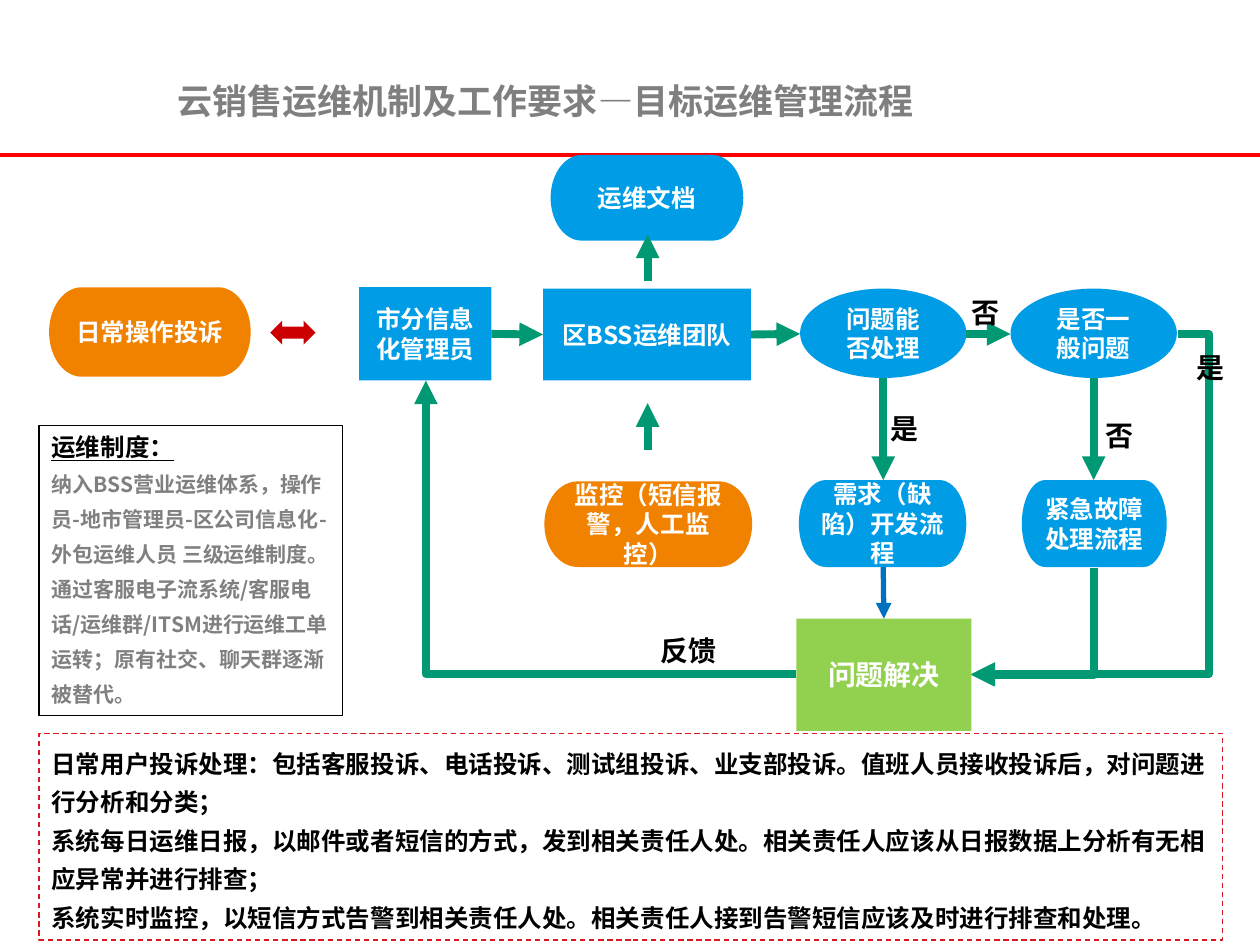
from lxml import etree
from pptx import Presentation
from pptx.dml.color import RGBColor
from pptx.enum.dml import MSO_LINE
from pptx.enum.shapes import MSO_CONNECTOR, MSO_SHAPE
from pptx.enum.text import MSO_ANCHOR, PP_ALIGN
from pptx.oxml.ns import qn
from pptx.util import Inches, Pt

FONT = "Noto Sans CJK SC"
BLUE = RGBColor(0x00, 0x9D, 0xE6)
ORANGE = RGBColor(0xF0, 0x82, 0x00)
LIME = RGBColor(0x92, 0xD0, 0x50)
GREEN = RGBColor(0x00, 0x99, 0x73)
NAVY = RGBColor(0x00, 0x70, 0xC0)
RED = RGBColor(0xFF, 0x00, 0x00)
DARK_RED = RGBColor(0xCC, 0x00, 0x00)
CRIMSON = RGBColor(0xD7, 0x1A, 0x21)
GRAY = RGBColor(0x80, 0x80, 0x80)
TITLE_GRAY = RGBColor(0x7F, 0x7F, 0x7F)
BLACK = RGBColor(0, 0, 0)
WHITE = RGBColor(0xFF, 0xFF, 0xFF)

COLS, ROWS = 100, 75  # grid cells over a 10 x 7.5 inch slide
TOP, LEFT, BOTTOM, RIGHT = range(4)
TERMINATOR = MSO_SHAPE.FLOWCHART_TERMINATOR
RECT = MSO_SHAPE.RECTANGLE
OVAL = MSO_SHAPE.OVAL


def write(tf, text, size=14, color=WHITE, align=PP_ALIGN.CENTER, spacing=None,
          underline=None, add=False):
    """Put one bold paragraph into a text frame."""
    p = tf.add_paragraph() if add else tf.paragraphs[0]
    p.alignment = align
    if spacing:
        p.line_spacing = Pt(spacing)
    r = p.add_run()
    r.text = text
    font = r.font
    font.name, font.size, font.bold, font.underline = FONT, Pt(size), True, underline
    font.color.rgb = color
    etree.SubElement(r._r.get_or_add_rPr(), qn("a:ea")).set("typeface", FONT)


class Flow:
    """Style and current slide; every length is in grid columns and rows."""

    def __init__(self, prs):
        self.s = prs.slides.add_slide(prs.slide_layouts[6])
        self.col = prs.slide_width / COLS
        self.row = prs.slide_height / ROWS

    def at(self, x, y):
        return round(x * self.col), round(y * self.row)

    def shape(self, kind, x, y, w, h, fill=None, line=None, dash=None):
        sp = self.s.shapes.add_shape(kind, *self.at(x, y), *self.at(w, h))
        sp.shadow.inherit = False
        if fill is None:
            sp.fill.background()
        else:
            sp.fill.solid()
            sp.fill.fore_color.rgb = fill
        if line is None:
            sp.line.fill.background()
        else:
            sp.line.color.rgb = line
            sp.line.width = Pt(0.75)
            sp.line.dash_style = dash
        return sp

    def node(self, text, kind, x, y, w, h, fill=BLUE, size=14):
        sp = self.shape(kind, x, y, w, h, fill)
        sp.text_frame.word_wrap = True
        sp.text_frame.vertical_anchor = MSO_ANCHOR.MIDDLE
        write(sp.text_frame, text, size)
        return sp

    def panel(self, x, y, w, h, line, dash=None):
        tf = self.shape(RECT, x, y, w, h, line=line, dash=dash).text_frame
        tf.word_wrap = True
        tf.vertical_anchor = MSO_ANCHOR.TOP
        return tf

    def label(self, text, x, y, w, h=3.7, wrap=False, anchor=MSO_ANCHOR.TOP, **fmt):
        tf = self.s.shapes.add_textbox(*self.at(x, y), *self.at(w, h)).text_frame
        tf.word_wrap = wrap
        tf.vertical_anchor = anchor
        write(tf, text, **fmt)

    def line(self, start, end, color=GREEN, width=4.5, head=True,
             kind=MSO_CONNECTOR.STRAIGHT):
        c = self.s.shapes.add_connector(kind, *self.at(*start), *self.at(*end))
        c.line.color.rgb = color
        c.line.width = Pt(width)
        if head:
            etree.SubElement(c.line._get_or_add_ln(), qn("a:tailEnd")).set("type", "triangle")
        etree.SubElement(c._element.spPr, qn("a:effectLst"))
        return c

    def corner(self, x, y, w, h, turn):
        """One-bend arrow, right then down before being turned."""
        c = self.line((x, y), (x + w, y + h), kind=MSO_CONNECTOR.ELBOW)
        c._element.spPr.prstGeom.set("prst", "bentConnector2")
        c._element.spPr.xfrm.set("rot", str(turn * 60000))

    def loop(self, start, end, bend):
        """Two-bend arrow; bend is the turning point as a share of the width."""
        c = self.line(start, end, kind=MSO_CONNECTOR.ELBOW)
        guide = etree.SubElement(c._element.spPr.prstGeom.get_or_add_avLst(), qn("a:gd"))
        guide.set("name", "adj1")
        guide.set("fmla", f"val {round(bend * 100000)}")


def main():
    prs = Presentation()
    prs.slide_width, prs.slide_height = Inches(10), Inches(7.5)
    flow = Flow(prs)

    # Title and rule
    flow.line((0, 12.3), (COLS, 12.3), RED, 2, head=False)
    flow.label("云销售运维机制及工作要求—目标运维管理流程", 13.1, 4.9, 63, 6.2, wrap=True,
               anchor=MSO_ANCHOR.MIDDLE, size=20, color=TITLE_GRAY, align=PP_ALIGN.LEFT)

    # Flow nodes
    flow.node("日常操作投诉", TERMINATOR, 3.9, 22.8, 16, 7.1, ORANGE)
    flow.node("运维文档", TERMINATOR, 43.7, 12.3, 15.3, 6.8)
    flow.node("紧急故障处理流程", TERMINATOR, 81.1, 38.1, 11.5, 6.9)
    flow.node("监控（短信报警，人工监控）", TERMINATOR, 43.2, 38.2, 16.5, 6.8, ORANGE)
    flow.node("需求（缺陷）开发流程", TERMINATOR, 63.4, 38.1, 13.3, 6.9)
    solved = flow.node("问题解决", RECT, 63.2, 49.1, 13.9, 8.9, LIME, size=16)
    manager = flow.node("市分信息化管理员", RECT, 28.5, 22.8, 10.5, 7.4)
    team = flow.node("区BSS运维团队", RECT, 43.1, 22.9, 16.5, 7.3)
    flow.node("问题能否处理", OVAL, 63.5, 22.9, 13.2, 7.1)
    flow.node("是否一般问题", OVAL, 80.2, 22.9, 13.2, 7.1)
    flow.shape(MSO_SHAPE.UP_DOWN_ARROW, 22.3, 24.6, 1.9, 3.6, DARK_RED).rotation = 270

    # Straight arrows
    mid = 26.5
    to_team = flow.line((39, mid), (43.1, mid))
    to_team.begin_connect(manager, RIGHT)
    to_team.end_connect(team, LEFT)
    flow.line((59.6, mid), (63.5, mid)).begin_connect(team, RIGHT)
    flow.line((76.7, mid), (80.2, mid))
    for x in (70.1, 86.8):
        flow.line((x, 30), (x, 38.1))
    for y in (22.3, 35.7):
        flow.line((51.4, y), (51.4, y - 3.7))
    flow.line((70.1, 45), (70.1, 49.1), NAVY, 3).end_connect(solved, TOP)

    # Bent arrows
    flow.corner(33.8, 30.2, 29.4, 23.3, 180)
    flow.corner(77.7, 44.4, 8.5, 9.8, 90)
    flow.loop((93.5, mid), (77.1, 53.5), -0.15)

    # Branch labels
    for text, x, y, w in (("是", 93.9, 27.3, 4.3), ("否", 76.1, 23, 4.3),
                          ("是", 69.6, 32.2, 4.3), ("否", 86.7, 32.7, 4.3),
                          ("反馈", 51.4, 49.8, 6.5)):
        flow.label(text, x, y, w, size=16, color=BLACK)

    # Rules panel
    tf = flow.panel(3.1, 33.8, 24.1, 23, BLACK)
    write(tf, "运维制度：", color=BLACK, align=PP_ALIGN.LEFT, underline=True)
    write(tf, "纳入BSS营业运维体系，操作员-地市管理员-区公司信息化-外包运维人员 三级运维制度。"
              "通过客服电子流系统/客服电话/运维群/ITSM进行运维工单运转；原有社交、聊天群逐渐被替代。",
          size=12, color=GRAY, align=PP_ALIGN.LEFT, spacing=20, add=True)

    # Daily work panel
    tf = flow.panel(3.1, 58.2, 93.9, 16.4, CRIMSON, MSO_LINE.DASH)
    duties = (
        "日常用户投诉处理：包括客服投诉、电话投诉、测试组投诉、业支部投诉。"
        "值班人员接收投诉后，对问题进行分析和分类；",
        "系统每日运维日报，以邮件或者短信的方式，发到相关责任人处。"
        "相关责任人应该从日报数据上分析有无相应异常并进行排查；",
        "系统实时监控，以短信方式告警到相关责任人处。"
        "相关责任人接到告警短信应该及时进行排查和处理。",
    )
    for i, duty in enumerate(duties):
        write(tf, duty, color=BLACK, align=PP_ALIGN.LEFT, spacing=22, add=i > 0)

    prs.save("out.pptx")


if __name__ == "__main__":
    main()
